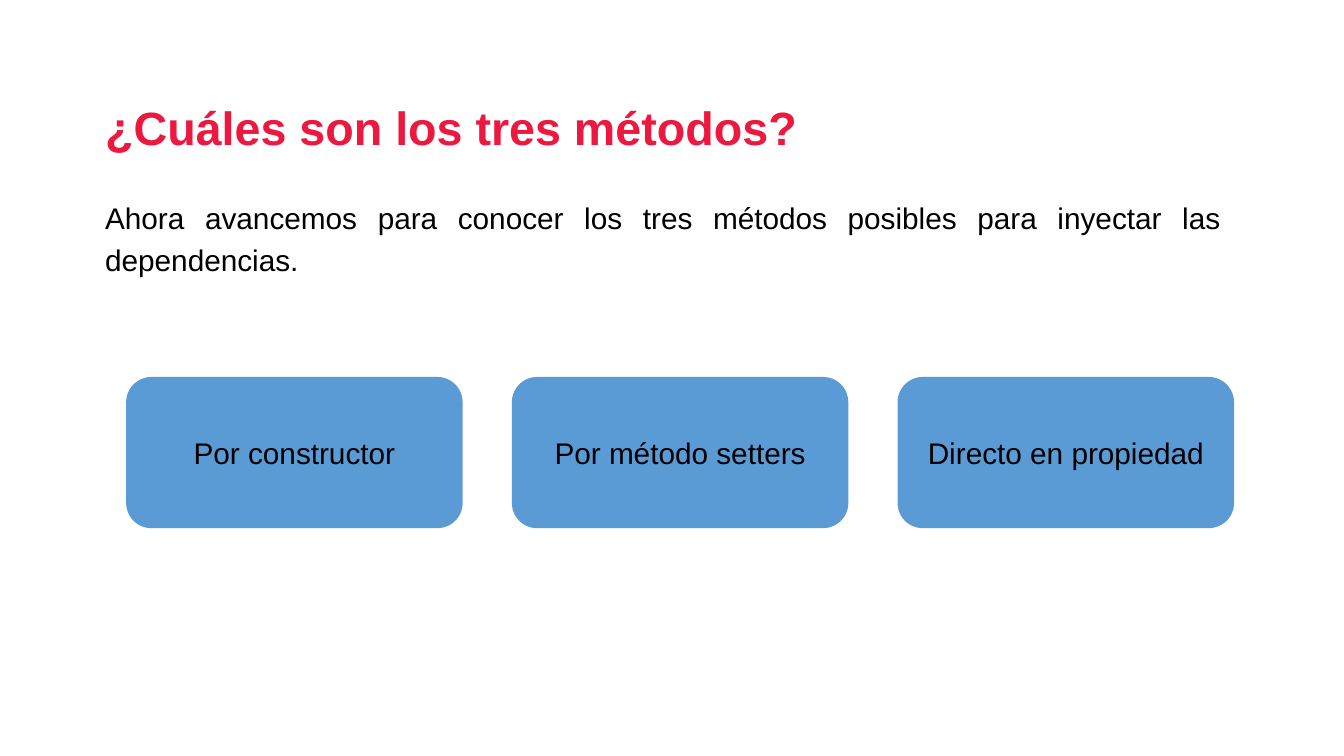
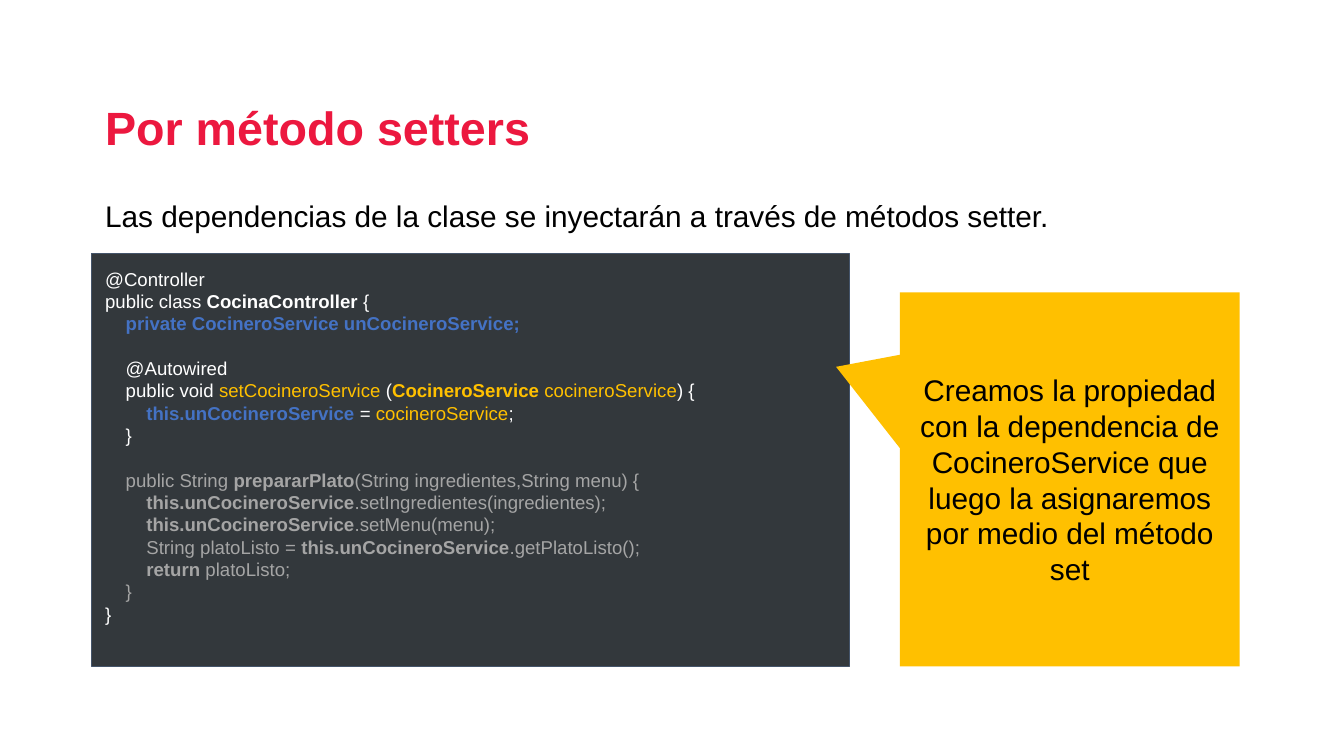
from dataclasses import dataclass
from typing import Any, NamedTuple

from pptx import Presentation
from pptx.dml.color import RGBColor
from pptx.enum.shapes import MSO_SHAPE as Preset
from pptx.enum.text import MSO_ANCHOR as Anchor, PP_ALIGN as Align
from pptx.util import Cm, Pt

FONT = "Arial"
RED, BLACK, WHITE = "EC183F", "000000", "FFFFFF"
CARD_BLUE, CODE_BLUE, AMBER, GREY = "5B9BD5", "4472C4", "FFC000", "A5A5A5"
CODE_FILL, CODE_BORDER = "33383C", "44546A"
TITLE_SIZE, TEXT_SIZE, CODE_SIZE = 33.3, 21.3, 13.3
LEFT, CONTENT_WIDTH = 2.31, 28.8
INDENT = 0.52
CODE_GAP = Pt(16)

INSET = Cm(0.34)
FRAME_FORMAT = {"word_wrap": True, "margin_left": INSET, "margin_right": INSET,
                "margin_top": INSET, "margin_bottom": INSET}
TITLE_FORMAT = {"line_spacing": 0.9}
JUSTIFIED = {"alignment": Align.JUSTIFY}
INTRO_FORMAT = {"alignment": Align.JUSTIFY, "line_spacing": 1.15, "space_after": Pt(13.3)}
CENTERED = {"alignment": Align.CENTER}


class Area(NamedTuple):
    """Left, top, width and height in centimetres."""
    left: float
    top: float
    width: float
    height: float


class Span(NamedTuple):
    text: str
    color: str = WHITE
    bold: bool = False


@dataclass(frozen=True)
class CodeLine:
    level: int
    spans: tuple[Span, ...]
    gap_before: bool = False


@dataclass(frozen=True)
class Panel:
    """A filled preset shape; without a border colour it has no outline."""
    preset: Preset
    area: Area
    fill: str
    border: str | None = None
    adjustments: tuple[float, ...] = ()


TITLE_AREA = Area(LEFT, 2.21, CONTENT_WIDTH, 2.13)

METHODS = ("Por constructor", "Por método setters", "Directo en propiedad")
FIRST_CARD, CARD_PITCH = Area(3.18, 9.5, 8.48, 3.81), 9.72

CODE_PANEL = Panel(Preset.RECTANGLE, Area(LEFT, 6.4, 19.1, 10.39), CODE_FILL, CODE_BORDER)
CALLOUT = Panel(Preset.ROUNDED_RECTANGULAR_CALLOUT, Area(22.68, 7.37, 8.56, 9.42), AMBER,
                adjustments=(-0.688, -0.301, 0))

GREY_FIELD = Span("this.unCocineroService", GREY, True)
CODE = (
    CodeLine(0, (Span("@Controller"),)),
    CodeLine(0, (Span("public class "), Span("CocinaController ", WHITE, True), Span("{"))),
    CodeLine(1, (Span("private CocineroService unCocineroService;", CODE_BLUE, True),)),
    CodeLine(1, (Span("@Autowired"),), gap_before=True),
    CodeLine(1, (Span("public void "), Span("setCocineroService ", AMBER), Span("("),
                 Span("CocineroService", AMBER, True), Span(" cocineroService", AMBER),
                 Span(") {"))),
    CodeLine(2, (Span("this.unCocineroService ", CODE_BLUE, True), Span("= "),
                 Span("cocineroService", AMBER), Span(";"))),
    CodeLine(1, (Span("}"),)),
    CodeLine(1, (Span("public String ", GREY), Span("prepararPlato", GREY, True),
                 Span("(String ingredientes,String menu) {", GREY)), gap_before=True),
    CodeLine(2, (GREY_FIELD, Span(".setIngredientes(ingredientes);", GREY))),
    CodeLine(2, (GREY_FIELD, Span(".setMenu(menu);", GREY))),
    CodeLine(2, (Span("String platoListo = ", GREY), GREY_FIELD,
                 Span(".getPlatoListo();", GREY))),
    CodeLine(2, (Span("return ", GREY, True), Span("platoListo;", GREY))),
    CodeLine(1, (Span("}", GREY),)),
    CodeLine(0, (Span("}"),)),
)


def rgb(color: str) -> RGBColor:
    return RGBColor.from_string(color)


def lengths(area: Area) -> list[Cm]:
    return [Cm(value) for value in area]


def apply(target: Any, values: dict[str, Any]) -> None:
    for name, value in values.items():
        setattr(target, name, value)


def format_frame(box: Any, anchor: Anchor) -> Any:
    frame = box.text_frame
    apply(frame, FRAME_FORMAT | {"vertical_anchor": anchor})
    return frame


def add_text_box(page: Any, area: Area, anchor: Anchor = Anchor.TOP) -> Any:
    return format_frame(page.shapes.add_textbox(*lengths(area)), anchor)


def add_panel(page: Any, panel: Panel, anchor: Anchor = Anchor.MIDDLE) -> Any:
    """Draw the panel and return its text frame."""
    box = page.shapes.add_shape(panel.preset, *lengths(panel.area))
    box.shadow.inherit = False
    box.fill.solid()
    box.fill.fore_color.rgb = rgb(panel.fill)
    if panel.border:
        box.line.color.rgb = rgb(panel.border)
        box.line.width = Pt(0.75)
    else:
        box.line.fill.background()
    for index, value in enumerate(panel.adjustments):
        box.adjustments[index] = value
    return format_frame(box, anchor)


def write(para: Any, spans: tuple[Span, ...], size: float, values: dict[str, Any]) -> None:
    apply(para, values)
    for span in spans:
        run = para.add_run()
        run.text = span.text
        apply(run.font, {"name": FONT, "size": Pt(size), "bold": span.bold})
        run.font.color.rgb = rgb(span.color)


def write_text(frame: Any, text: str, values: dict[str, Any]) -> None:
    write(frame.paragraphs[0], (Span(text, BLACK),), TEXT_SIZE, values)


def write_code(frame: Any, lines: tuple[CodeLine, ...]) -> None:
    for index, line in enumerate(lines):
        para = frame.add_paragraph() if index else frame.paragraphs[0]
        para._p.get_or_add_pPr().set("marL", str(Cm(line.level * INDENT)))
        write(para, line.spans, CODE_SIZE,
              {"alignment": Align.LEFT, "space_before": CODE_GAP if line.gap_before else Pt(0)})


def add_page(deck: Any, title: str) -> Any:
    page = deck.slides.add_slide(deck.slide_layouts[6])
    frame = add_text_box(page, TITLE_AREA, Anchor.MIDDLE)
    write(frame.paragraphs[0], (Span(title, RED, True),), TITLE_SIZE, TITLE_FORMAT)
    return page


def add_methods_page(deck: Any) -> None:
    page = add_page(deck, "¿Cuáles son los tres métodos?")
    write_text(add_text_box(page, Area(LEFT, 4.57, CONTENT_WIDTH, 3.33)),
               "Ahora avancemos para conocer los tres métodos posibles para inyectar "
               "las dependencias.", INTRO_FORMAT)
    for index, method in enumerate(METHODS):
        area = FIRST_CARD._replace(left=FIRST_CARD.left + index * CARD_PITCH)
        card = Panel(Preset.ROUNDED_RECTANGLE, area, CARD_BLUE)
        write_text(add_panel(page, card), method, CENTERED)


def add_setters_page(deck: Any) -> None:
    page = add_page(deck, "Por método setters")
    write_text(add_text_box(page, Area(LEFT, 4.65, CONTENT_WIDTH, 1.57)),
               "Las dependencias de la clase se inyectarán a través de métodos setter.",
               JUSTIFIED)
    write_code(add_panel(page, CODE_PANEL, Anchor.TOP), CODE)
    write_text(add_panel(page, CALLOUT),
               "Creamos la propiedad con la dependencia de CocineroService que luego la "
               "asignaremos por medio del método set", CENTERED)


def main() -> None:
    deck = Presentation()
    apply(deck, {"slide_width": Cm(33.87), "slide_height": Cm(19.05)})
    add_methods_page(deck)
    add_setters_page(deck)
    deck.save("out.pptx")


if __name__ == "__main__":
    main()
